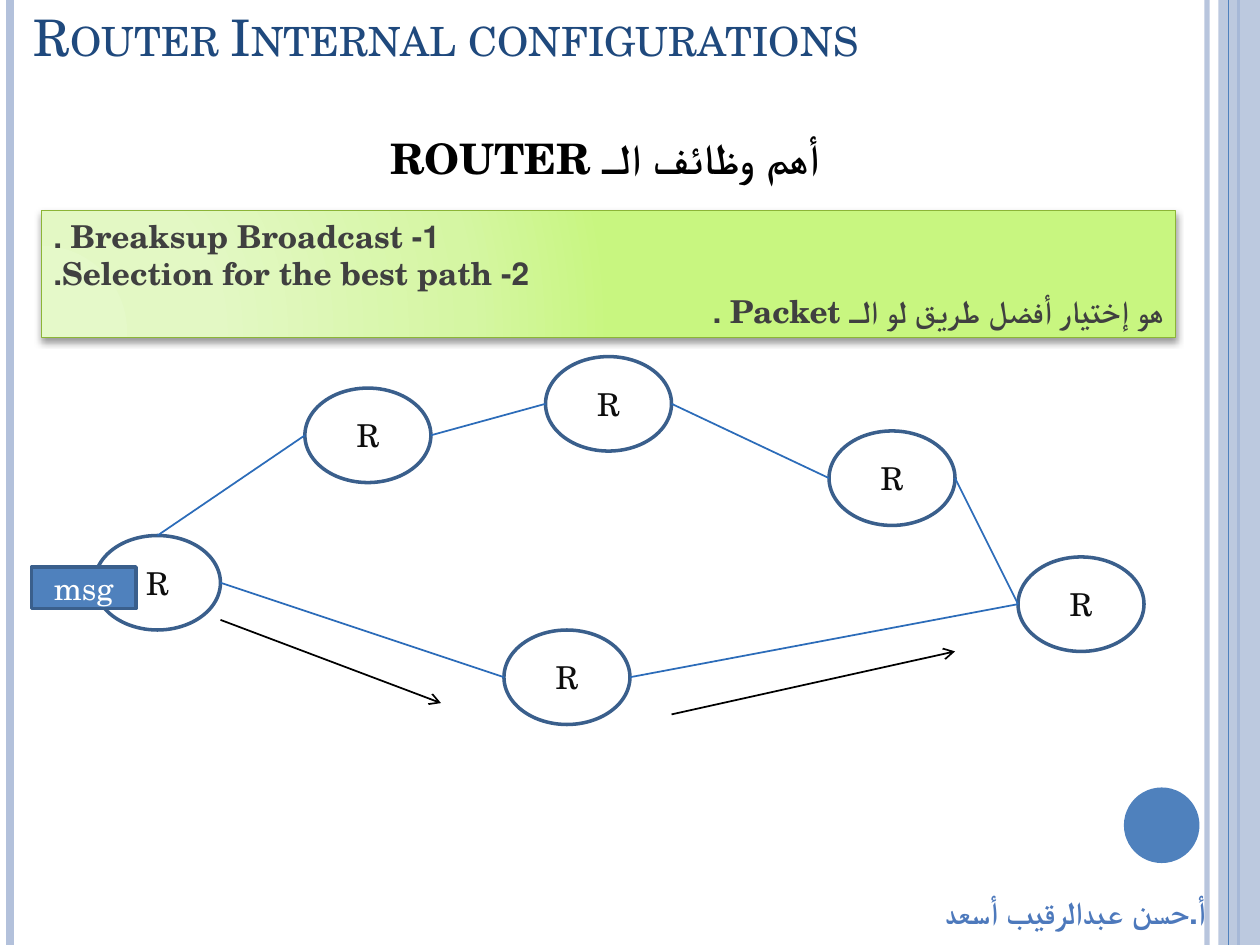
from dataclasses import dataclass

from lxml import etree
from pptx import Presentation
from pptx.dml.color import RGBColor
from pptx.enum.shapes import MSO_CONNECTOR, MSO_SHAPE
from pptx.enum.text import MSO_ANCHOR, PP_ALIGN
from pptx.oxml import parse_xml
from pptx.oxml.ns import nsdecls, qn
from pptx.util import Inches, Pt

RECT, ELLIPSE = MSO_SHAPE.RECTANGLE, MSO_SHAPE.OVAL
STRAIGHT = MSO_CONNECTOR.STRAIGHT
LEFT, CENTER, RIGHT = PP_ALIGN.LEFT, PP_ALIGN.CENTER, PP_ALIGN.RIGHT
TOP, MIDDLE, BOTTOM = MSO_ANCHOR.TOP, MSO_ANCHOR.MIDDLE, MSO_ANCHOR.BOTTOM


@dataclass(frozen=True)
class Theme:
    font: str = "TeX Gyre Schola"
    title: str = "1F497D"
    black: str = "000000"
    white: str = "FFFFFF"
    body: str = "404040"
    label: str = "0D0D0D"
    accent: str = "4F81BD"
    stripe: str = "B3C1DB"
    outline: str = "3A5F8C"
    link: str = "2C6CB9"
    author: str = "4D79BC"
    panel_line: str = "8CB537"
    panel_stops: tuple = ((0, "E5F9C9"), (30, "E3F8C4"), (75, "D5F6A3"), (100, "C8F680"))
    title_size: float = 28.8
    heading_size: float = 24
    body_size: float = 18


def set_alpha(fill_parent, percent):
    color = fill_parent.find(".//" + qn("a:srgbClr"))
    etree.SubElement(color, qn("a:alpha")).set("val", str(percent * 1000))


class SlideBuilder:
    def __init__(self, slide, theme):
        self.shapes = slide.shapes
        self.theme = theme

    def shape(self, kind, box, fill=None, line=None, width=2):
        sp = self.shapes.add_shape(kind, *map(Inches, box))
        sp.shadow.inherit = False
        if fill:
            sp.fill.solid()
            sp.fill.fore_color.rgb = RGBColor.from_string(fill)
        else:
            sp.fill.background()
        if line:
            sp.line.color.rgb = RGBColor.from_string(line)
            sp.line.width = Pt(width)
        else:
            sp.line.fill.background()
        return sp

    def line(self, start, end, color, width=1, arrow=False):
        cx = self.shapes.add_connector(STRAIGHT, *map(Inches, (*start, *end)))
        cx.line.color.rgb = RGBColor.from_string(color)
        cx.line.width = Pt(width)
        if arrow:
            ln = cx._element.spPr.find(qn("a:ln"))
            etree.SubElement(ln, qn("a:tailEnd")).set("type", "arrow")
        etree.SubElement(cx._element.spPr, qn("a:effectLst"))
        return cx

    def fill_text(self, sp, lines, size, color, anchor=MIDDLE, bold=False, rtl=False,
                  small_caps=False):
        """Fill a shape with (text, alignment) lines."""
        tf = sp.text_frame
        tf.word_wrap = True
        tf.vertical_anchor = anchor
        for i, (text, align) in enumerate(lines):
            p = tf.add_paragraph() if i else tf.paragraphs[0]
            p.alignment = align
            if rtl:
                p._p.get_or_add_pPr().set("rtl", "1")
            r = p.add_run()
            r.text = text
            r.font.name = self.theme.font
            r.font.size = Pt(size)
            r.font.bold = bold
            r.font.color.rgb = RGBColor.from_string(color)
            if small_caps:
                r._r.get_or_add_rPr().set("cap", "small")

    def text(self, box, text, align, size, color, **style):
        sp = self.shapes.add_textbox(*map(Inches, box))
        self.fill_text(sp, [(text, align)], size, color, **style)

    def panel(self, box, lines):
        """Add the box with a gradient and a soft shadow below."""
        t = self.theme
        sp = self.shape(RECT, box, line=t.panel_line, width=1)
        spPr = sp._element.spPr
        stops = "".join(
            f'<a:gs pos="{pos * 1000}"><a:srgbClr val="{color}"/></a:gs>'
            for pos, color in t.panel_stops
        )
        gradient = parse_xml(
            f'<a:gradFill {nsdecls("a")} rotWithShape="1"><a:gsLst>{stops}</a:gsLst>'
            '<a:path path="circle"><a:fillToRect l="5000" t="100000" r="120000" b="10000"/>'
            "</a:path></a:gradFill>"
        )
        spPr.replace(spPr.find(qn("a:noFill")), gradient)
        shadow = parse_xml(
            f'<a:outerShdw {nsdecls("a")} blurRad="{Pt(4)}" dist="{Pt(2)}" dir="5400000" '
            f'rotWithShape="0"><a:srgbClr val="{t.black}"><a:alpha val="40000"/></a:srgbClr>'
            "</a:outerShdw>"
        )
        spPr.find(qn("a:effectLst")).append(shadow)
        self.fill_text(sp, lines, t.body_size, t.body, anchor=TOP, bold=True, rtl=True)

    def router(self, left, top):
        """Add a router and return its connection points."""
        w, h = 1, 0.75
        sp = self.shape(ELLIPSE, (left, top, w, h), line=self.theme.outline)
        self.fill_text(sp, [("R", CENTER)], self.theme.body_size, self.theme.label)
        return {
            "top": (left + w / 2, top),
            "left": (left, top + h / 2),
            "right": (left + w, top + h / 2),
        }


def add_frame(s, t):
    inner_edge = s.line((9.58, 0), (9.58, 7.5), t.stripe, 3)
    set_alpha(inner_edge._element.spPr, 93)
    s.line((0.08, 0), (0.08, 7.5), t.stripe, 4.5)
    s.line((9.83, 0), (9.83, 7.5), t.accent, 1.5)
    band = s.shape(RECT, (9.67, 0, 0.33, 7.5), fill=t.stripe)
    set_alpha(band._element.spPr, 87)
    s.line((9.75, 0), (9.75, 7.5), t.accent, 0.75)
    s.shape(ELLIPSE, (8.92, 6.25, 0.6, 0.6), fill=t.accent)


def add_network(s, t):
    positions = {
        "upper_left": (2.42, 3.08),
        "upper_mid": (4.33, 2.83),
        "upper_right": (6.58, 3.42),
        "target": (8.08, 4.42),
        "lower": (4, 5),
        "source": (0.75, 4.25),
    }
    routers = {name: s.router(*pos) for name, pos in positions.items()}
    links = (
        ("source", "top", "upper_left"),
        ("upper_left", "right", "upper_mid"),
        ("upper_mid", "right", "upper_right"),
        ("upper_right", "right", "target"),
        ("lower", "right", "target"),
        ("source", "right", "lower"),
    )
    for start, side, end in links:
        s.line(routers[start][side], routers[end]["left"], t.link)
    s.line((1.75, 4.92), (3.5, 5.58), t.black, arrow=True)
    s.line((5.33, 5.67), (7.58, 5.17), t.black, arrow=True)
    msg = s.shape(RECT, (0.25, 4.5, 0.83, 0.33), fill=t.accent, line=t.outline)
    s.fill_text(msg, [("msg", CENTER)], t.body_size, t.white)


def main():
    prs = Presentation()
    prs.slide_width, prs.slide_height = Inches(10), Inches(7.5)
    t = Theme()
    s = SlideBuilder(prs.slides.add_slide(prs.slide_layouts[6]), t)

    add_frame(s, t)
    s.text((0.17, 0, 7.33, 0.58), "Router Internal configurations", LEFT,
           t.title_size, t.title, anchor=BOTTOM, small_caps=True)
    s.panel((0.33, 1.67, 9, 1.01), [
        ("1- Breaksup Broadcast .", LEFT),
        ("2- Selection for the best path.", LEFT),
        ("هو إختيار أفضل طريق لو الـ Packet .", RIGHT),
    ])
    s.text((0.58, 0.92, 8.42, 0.58), "أهم وظائف الـ ROUTER", CENTER,
           t.heading_size, t.black, anchor=BOTTOM, bold=True, rtl=True)
    add_network(s, t)
    s.text((5.5, 7.04, 4.17, 0.71), "أ.حسن عبدالرقيب أسعد", RIGHT,
           t.body_size, t.author, anchor=TOP, bold=True)
    prs.save("out.pptx")


if __name__ == "__main__":
    main()
